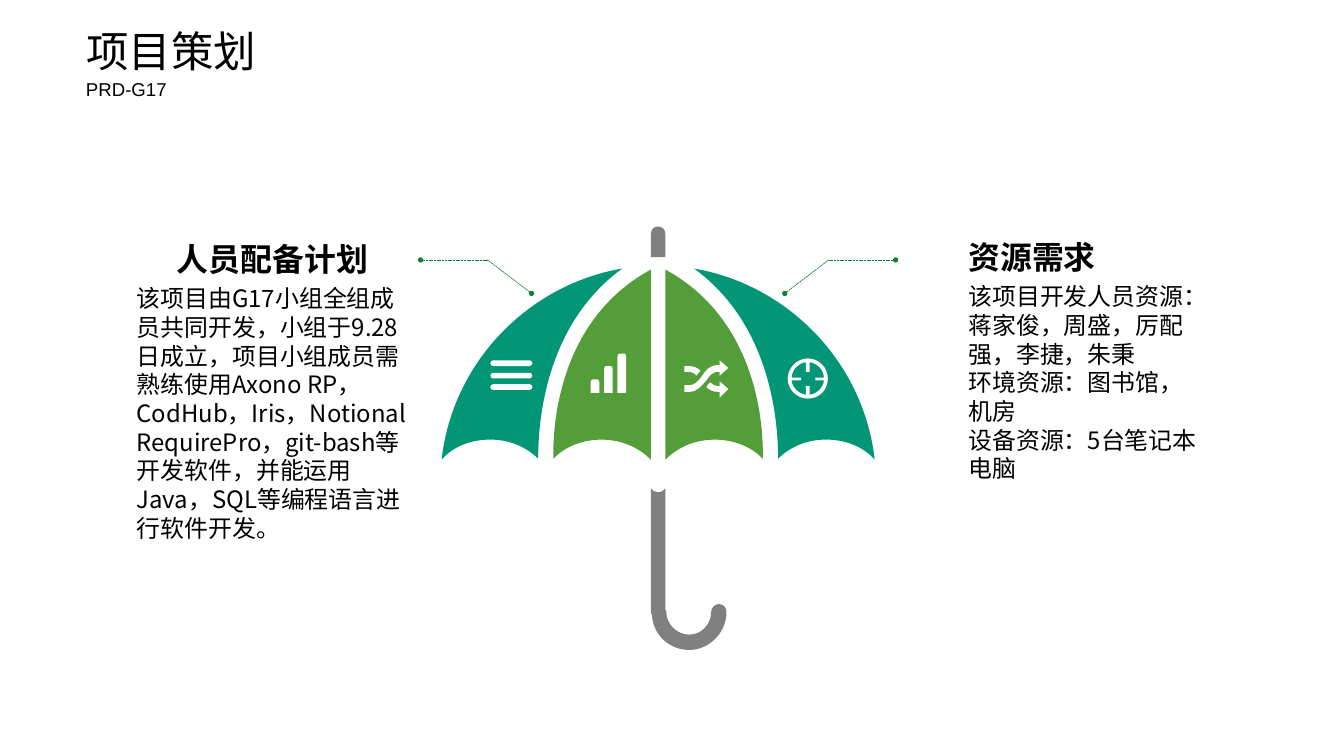
from pptx import Presentation
from pptx.dml.color import RGBColor
from pptx.enum.dml import MSO_LINE
from pptx.enum.lang import MSO_LANGUAGE_ID as LANG
from pptx.enum.shapes import MSO_CONNECTOR
from pptx.enum.text import MSO_ANCHOR, MSO_AUTO_SIZE, PP_ALIGN
from pptx.oxml.ns import qn
from pptx.util import Inches, Pt
from lxml.etree import SubElement

TEAL = RGBColor(0x02, 0x96, 0x76)
GREEN = RGBColor(0x54, 0x9E, 0x39)
DARK_GREEN = RGBColor(0x10, 0x80, 0x36)
GRAY = RGBColor(0x80, 0x80, 0x80)
WHITE = RGBColor(0xFF, 0xFF, 0xFF)
BLACK = RGBColor(0, 0, 0)

TITLE = "项目策划"
SUBTITLE = "PRD-G17"
STAFF_HEAD = "人员配备计划"
STAFF = ["该项目由G17小组全组成员共同开发，小组于9.28日成立，项目小组成员需熟练使用Axono RP，"
         "CodHub，Iris，Notional RequirePro，git-bash等开发软件，并能运用Java，SQL等编程语言进行软件开发。"]
RESOURCE_HEAD = "资源需求"
RESOURCES = ["该项目开发人员资源：蒋家俊，周盛，厉配强，李捷，朱秉",
             "环境资源：图书馆，机房",
             "设备资源：5台笔记本电脑"]

AXIS = 6.885

# Each contour starts with a point; 2 numbers draw a line, 6 draw a curve.
OUTER_PANEL = [[(5.13, 4.6), (4.93, 4.6, 4.74, 4.67, 4.62, 4.81),
                (4.73, 3.8, 5.52, 2.98, 6.51, 2.81),
                (5.68, 3.41, 5.63, 4.47, 5.63, 4.8),
                (5.5, 4.67, 5.32, 4.6, 5.13, 4.6)]]
INNER_PANEL = [[(6.29, 4.6), (6.1, 4.6, 5.91, 4.67, 5.79, 4.8),
                (5.78, 4.49, 5.83, 3.35, 6.81, 2.82), (6.81, 4.81),
                (6.67, 4.67, 6.49, 4.6, 6.29, 4.6)]]
HANDLE = [[(6.88, 5.15), (6.85, 5.15, 6.82, 5.13, 6.81, 5.11), (6.81, 6.4),
           (6.81, 6.41, 6.81, 6.43, 6.82, 6.43),
           (6.83, 6.64, 7, 6.8, 7.21, 6.8), (7.42, 6.8, 7.6, 6.62, 7.6, 6.4),
           (7.6, 6.36, 7.57, 6.32, 7.52, 6.32), (7.48, 6.32, 7.44, 6.36, 7.44, 6.4),
           (7.44, 6.53, 7.34, 6.64, 7.21, 6.64), (7.08, 6.64, 6.97, 6.53, 6.97, 6.4),
           (6.97, 6.4, 6.97, 6.39, 6.96, 6.38), (6.96, 5.11),
           (6.95, 5.13, 6.92, 5.15, 6.88, 5.15)]]
TIP = [[(6.96, 2.69), (6.96, 2.45), (6.96, 2.4, 6.93, 2.37, 6.88, 2.37),
        (6.84, 2.37, 6.81, 2.4, 6.81, 2.45), (6.81, 2.69)]]
MENU = [[(5.54, y), (5.16, y), (5.15, y, 5.13, y + 0.01, 5.13, y + 0.03),
         (5.13, y + 0.05, 5.15, y + 0.06, 5.16, y + 0.06), (5.54, y + 0.06),
         (5.55, y + 0.06, 5.57, y + 0.05, 5.57, y + 0.03),
         (5.57, y + 0.01, 5.55, y, 5.54, y)] for y in (3.77, 3.9, 4.02)]
BARS = [[(x + 0.07, y), (x + 0.02, y), (x + 0.01, y, x, y + 0.01, x, y + 0.03),
         (x, 4.11), (x + 0.09, 4.11), (x + 0.09, y + 0.03),
         (x + 0.09, y + 0.01, x + 0.08, y, x + 0.07, y)]
        for x, y in ((6.18, 3.97), (6.32, 3.83), (6.46, 3.7))]
SHUFFLE = [
    [(7.53, 4.04), (7.51, 4.04), (7.48, 4.04, 7.45, 4.02, 7.43, 4),
     (7.43, 4, 7.43, 4, 7.42, 4.01), (7.41, 4.02, 7.4, 4.03, 7.39, 4.05),
     (7.42, 4.08, 7.46, 4.1, 7.51, 4.1), (7.53, 4.1), (7.53, 4.16),
     (7.62, 4.07), (7.53, 3.99)],
    [(7.29, 3.93), (7.29, 3.92, 7.3, 3.92, 7.3, 3.91),
     (7.31, 3.9, 7.32, 3.89, 7.33, 3.88), (7.3, 3.85, 7.26, 3.83, 7.21, 3.83),
     (7.16, 3.83), (7.16, 3.89), (7.21, 3.89),
     (7.24, 3.89, 7.27, 3.91, 7.29, 3.93)],
    [(7.51, 3.89), (7.53, 3.89), (7.53, 3.93), (7.62, 3.85), (7.53, 3.77),
     (7.53, 3.82), (7.51, 3.82), (7.42, 3.82, 7.38, 3.88, 7.34, 3.94),
     (7.3, 3.99, 7.27, 4.03, 7.21, 4.03), (7.16, 4.03), (7.16, 4.1),
     (7.21, 4.1), (7.3, 4.1, 7.34, 4.03, 7.39, 3.98),
     (7.42, 3.93, 7.46, 3.89, 7.51, 3.89)],
]
TARGET = [
    [(8.47, 4.13), (8.47, 4.04), (8.43, 4.04), (8.43, 4.13),
     (8.35, 4.12, 8.29, 4.06, 8.28, 3.98), (8.38, 3.98), (8.38, 3.95), (8.28, 3.95),
     (8.29, 3.86, 8.35, 3.8, 8.43, 3.79), (8.43, 3.89), (8.47, 3.89), (8.47, 3.79),
     (8.55, 3.8, 8.61, 3.86, 8.62, 3.95), (8.53, 3.95), (8.53, 3.98), (8.62, 3.98),
     (8.61, 4.06, 8.55, 4.12, 8.47, 4.13)],
    [(8.45, 3.75), (8.34, 3.75, 8.24, 3.85, 8.24, 3.96),
     (8.24, 4.08, 8.34, 4.17, 8.45, 4.17), (8.57, 4.17, 8.66, 4.08, 8.66, 3.96),
     (8.66, 3.85, 8.57, 3.75, 8.45, 3.75)],
]
POINTER = [(5.56, 3.07), (5.1, 2.72), (4.4, 2.72)]


def flip(x, mirror):
    return 2 * AXIS - x if mirror else x


def add_outline(contours, color, mirror=False):
    builder = None
    for contour in contours:
        pts = [(Inches(flip(seg[i], mirror)), Inches(seg[i + 1]))
               for seg in contour for i in range(0, len(seg), 2)]
        if builder is None:
            builder = s.shapes.build_freeform(*pts[0], scale=1.0)
        else:
            builder.move_to(*pts[0])
        builder.add_line_segments(pts[1:], close=False)
    shape = builder.convert_to_shape()
    bend(shape, contours)
    shape.shadow.inherit = False
    shape.fill.solid()
    shape.fill.fore_color.rgb = color
    shape.line.fill.background()


def bend(shape, contours):
    outline = next(shape._element.iter(qn("a:path")))
    steps = iter(list(outline))
    for contour in contours:
        last = next(steps)
        for seg in contour[1:]:
            last = next(steps)
            if len(seg) == 6:
                last.tag = qn("a:cubicBezTo")
                for step in (next(steps), next(steps)):
                    last.append(step[0])
                    outline.remove(step)
        last.addnext(last.makeelement(qn("a:close")))


def add_pointer_line(start, end, dot, mirror):
    line = s.shapes.add_connector(
        MSO_CONNECTOR.STRAIGHT, Inches(flip(start[0], mirror)), Inches(start[1]),
        Inches(flip(end[0], mirror)), Inches(end[1]))
    line.line.color.rgb = DARK_GREEN
    line.line.width = Pt(0.5)
    line.line.dash_style = MSO_LINE.SQUARE_DOT
    SubElement(line.line._get_or_add_ln(), qn(dot), type="oval", w="sm", len="sm")
    SubElement(line._element.spPr, qn("a:effectLst"))


def write(shape, lines, size, font, bold=False, align=PP_ALIGN.LEFT,
          wrap=True, anchor=MSO_ANCHOR.TOP, margins=(0.11, 0.05)):
    tf = shape.text_frame
    tf.word_wrap = wrap
    tf.auto_size = MSO_AUTO_SIZE.NONE
    tf.vertical_anchor = anchor
    tf.margin_left = tf.margin_right = Inches(margins[0])
    tf.margin_top = tf.margin_bottom = Inches(margins[1])
    for i, line in enumerate(lines):
        p = tf.add_paragraph() if i else tf.paragraphs[0]
        p.alignment = align
        r = p.add_run()
        r.text = line
        r.font.name = font
        r.font.size = Pt(size)
        r.font.bold = bold
        r.font.color.rgb = BLACK
        r.font.language_id = LANG.SIMPLIFIED_CHINESE


def add_text(x, y, w, h, lines, size, font, **fmt):
    box = s.shapes.add_textbox(Inches(x), Inches(y), Inches(w), Inches(h))
    write(box, lines, size, font, **fmt)


prs = Presentation()
prs.slide_width, prs.slide_height = Inches(14.06), Inches(7.91)
s = prs.slides.add_slide(prs.slide_layouts[5])

title = s.shapes.title
title.left, title.top = Inches(0.9), Inches(0.26)
title.width, title.height = Inches(4.32), Inches(0.54)
heading = dict(anchor=MSO_ANCHOR.MIDDLE, margins=(0, 0))
write(title, [TITLE], 32, "Arial", **heading)
add_text(0.9, 0.81, 3.07, 0.24, [SUBTITLE], 14, "Arial", **heading)

for mirror in (False, True):
    add_pointer_line(POINTER[0], POINTER[1], "a:headEnd", mirror)
    add_pointer_line(POINTER[1], POINTER[2], "a:tailEnd", mirror)
    add_outline(OUTER_PANEL, TEAL, mirror)
    add_outline(INNER_PANEL, GREEN, mirror)

for part in (HANDLE, TIP):
    add_outline(part, GRAY)
for icon in (MENU, BARS, SHUFFLE, TARGET):
    add_outline(icon, WHITE)

add_text(1.74, 2.46, 2.22, 0.51, [STAFF_HEAD], 24, "Cabin",
         bold=True, align=PP_ALIGN.RIGHT, wrap=False)
add_text(1.32, 2.92, 3.08, 2.83, STAFF, 18, "Noto Sans CJK SC")
add_text(10.02, 2.44, 1.55, 0.51, [RESOURCE_HEAD], 24, "Cabin", bold=True, wrap=False)
add_text(10.02, 2.9, 2.71, 2.22, RESOURCES, 18, "Noto Sans CJK SC")

prs.save("out.pptx")
